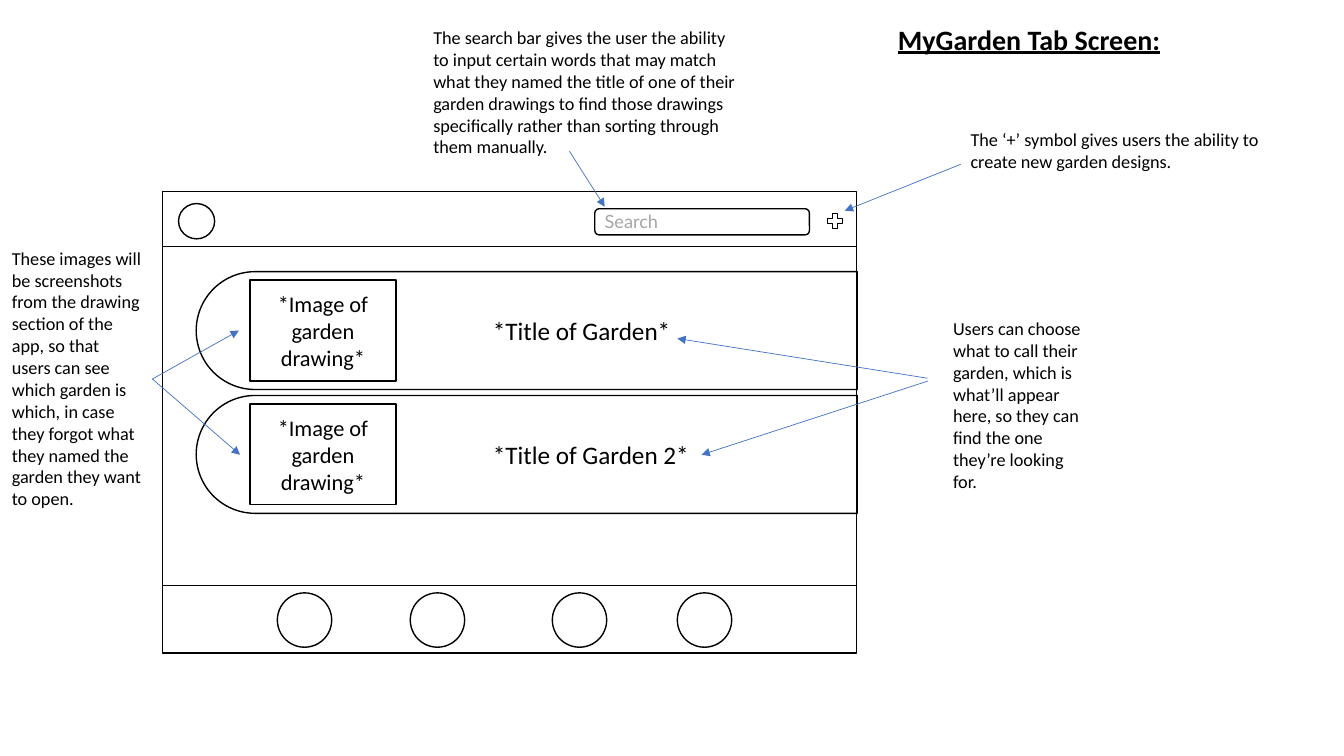
from lxml import etree
from pptx import Presentation
from pptx.dml.color import RGBColor
from pptx.enum.shapes import MSO_CONNECTOR, MSO_SHAPE
from pptx.enum.text import MSO_ANCHOR, PP_ALIGN
from pptx.oxml.ns import qn
from pptx.util import Cm, Pt

BLACK = RGBColor(0x00, 0x00, 0x00)
WHITE = RGBColor(0xFF, 0xFF, 0xFF)
GREY = RGBColor(0xA6, 0xA6, 0xA6)
BLUE = RGBColor(0x44, 0x72, 0xC4)
RECTANGLE = MSO_SHAPE.RECTANGLE
ROUNDED = MSO_SHAPE.ROUNDED_RECTANGLE
OVAL = MSO_SHAPE.OVAL
PLUS = MSO_SHAPE.MATH_PLUS
HALF_ROUND = MSO_SHAPE.ROUND_2_SAME_RECTANGLE
STRAIGHT = MSO_CONNECTOR.STRAIGHT
CENTER = PP_ALIGN.CENTER
MIDDLE = MSO_ANCHOR.MIDDLE

deck = Presentation()
deck.slide_width, deck.slide_height = Cm(33.87), Cm(19.05)
page = deck.slides.add_slide(deck.slide_layouts[6])


def add_outline(kind, left, top, width, height, weight=1):
    """Add an unfilled preset shape with a black line."""
    shape = page.shapes.add_shape(kind, Cm(left), Cm(top), Cm(width), Cm(height))
    shape.shadow.inherit = False
    shape.fill.background()
    shape.line.color.rgb = BLACK
    shape.line.width = Pt(weight)
    return shape


def write(box, text, size, color=BLACK, font="Calibri"):
    """Put one run of text into a box and return the run."""
    box.text_frame.word_wrap = True
    span = box.text_frame.paragraphs[0].add_run()
    span.text = text
    span.font.size = Pt(size)
    span.font.name = font
    span.font.color.rgb = color
    return span


# App frame with its search bar
FRAME_LEFT, FRAME_TOP, FRAME_WIDTH, FRAME_HEIGHT = 4.09, 4.83, 17.5, 11.63
add_outline(RECTANGLE, FRAME_LEFT, FRAME_TOP, FRAME_WIDTH, FRAME_HEIGHT)
add_outline(OVAL, 4.5, 5.13, 0.91, 0.89)
add_outline(PLUS, 20.78, 5.31, 0.51, 0.51, weight=0.5)
add_outline(ROUNDED, 14.99, 5.26, 5.41, 0.66)
search_box = page.shapes.add_textbox(Cm(14.99), Cm(5.18), Cm(1.88), Cm(0.81))
write(search_box, "Search", 13, GREY, "Lato")

# Navigation buttons
for left in (6.99, 10.34, 13.92, 17.07):
    button = add_outline(OVAL, left, 14.94, 1.37, 1.37)
    button.fill.solid()
    button.fill.fore_color.rgb = WHITE

# Garden entries
ENTRY_STEP = 3.12
for index, garden in enumerate(("*Title of Garden*", "*Title of Garden 2*")):
    offset = index * ENTRY_STEP
    entry = add_outline(HALF_ROUND, 11.79, offset, 2.97, 16.66)
    entry.adjustments[0] = 0.5
    entry.adjustments[1] = 0
    entry.rotation = 270
    garden_box = page.shapes.add_textbox(
        Cm(12.17), Cm(7.82 + offset), Cm(7.49), Cm(1.02))
    write(garden_box, garden, 18)
    drawing = add_outline(RECTANGLE, 6.3, 7.06 + offset, 3.68, 2.54)
    drawing.text_frame.vertical_anchor = MIDDLE
    drawing.text_frame.paragraphs[0].alignment = CENTER
    write(drawing, "*Image of garden drawing*", 16)

# Title and notes
title_box = page.shapes.add_textbox(Cm(22.38), Cm(0.43), Cm(9.98), Cm(1.12))
title = write(title_box, "MyGarden Tab Screen:", 20)
title.font.bold = True
title.font.underline = True

notes = [
    (24.21, 3.12, 8.2, 1.37,
     "The ‘+’ symbol gives users the ability to create new garden designs."),
    (10.67, 0.54, 8.2, 3.58,
     "The search bar gives the user the ability to input certain words that "
     "may match what they named the title of one of their garden drawings to "
     "find those drawings specifically rather than sorting through them "
     "manually."),
    (0.05, 6.1, 3.78, 6.93,
     "These images will be screenshots from the drawing section of the app, "
     "so that users can see which garden is which, in case they forgot what "
     "they named the garden they want to open."),
    (23.77, 7.87, 3.78, 4.7,
     "Users can choose what to call their garden, which is what’ll appear "
     "here, so they can find the one they’re looking for."),
]
for left, top, width, height, text in notes:
    note_box = page.shapes.add_textbox(Cm(left), Cm(top), Cm(width), Cm(height))
    write(note_box, text, 13)

# Bar dividers, then arrows from the notes: start x, y, end x, y
FRAME_RIGHT = FRAME_LEFT + FRAME_WIDTH
dividers = [(FRAME_LEFT, y, FRAME_RIGHT, y) for y in (6.22, 14.76)]
arrows = [
    (14.35, 3.81, 15.24, 5.21),
    (24.21, 4.14, 21.29, 5.31),
    (3.84, 9.55, 6.02, 8.33),
    (3.84, 9.55, 6.05, 11.46),
    (23.37, 9.53, 17.07, 8.53),
    (23.39, 9.6, 17.68, 11.46),
]
for ends in dividers + arrows:
    line = page.shapes.add_connector(STRAIGHT, *(Cm(value) for value in ends))
    is_arrow = ends in arrows
    line.line.color.rgb = BLUE if is_arrow else BLACK
    line.line.width = Pt(0.5)
    if is_arrow:
        etree.SubElement(line.line._get_or_add_ln(), qn("a:tailEnd"), type="triangle")
    etree.SubElement(line._element.spPr, qn("a:effectLst"))

deck.save("out.pptx")
